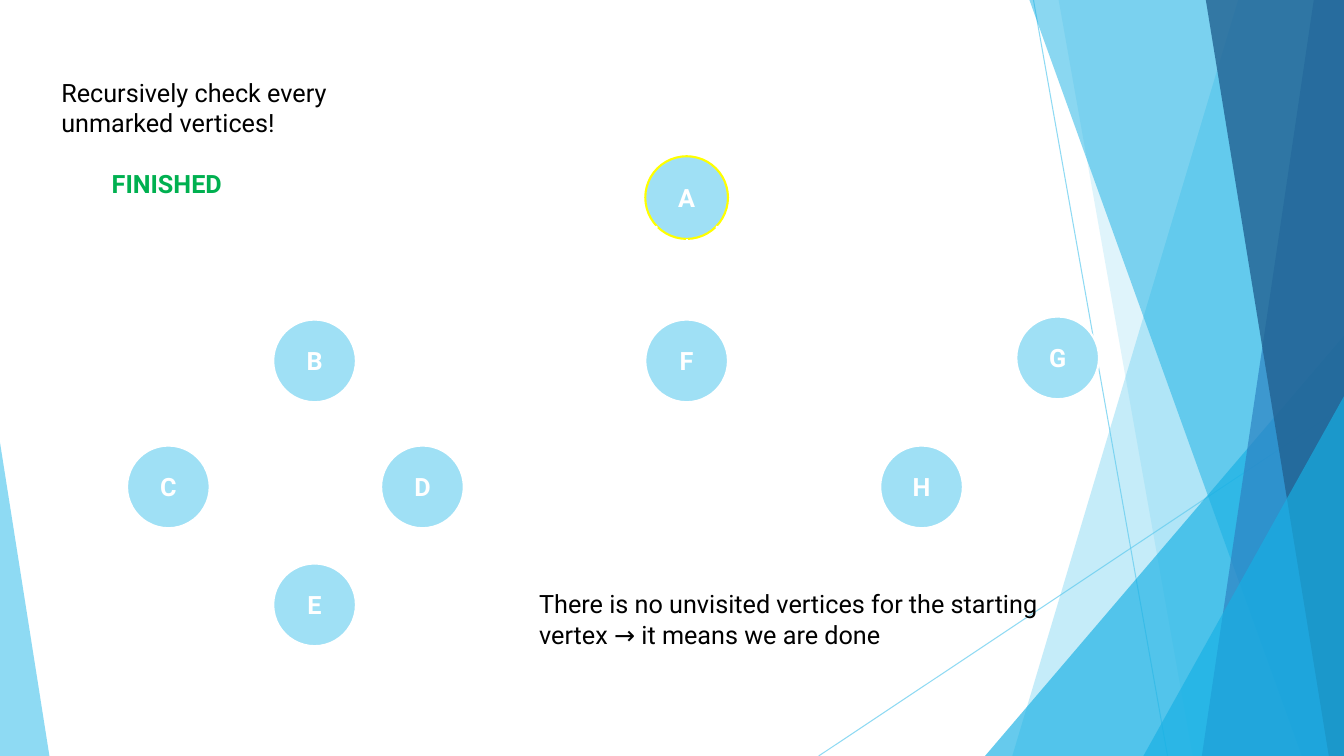
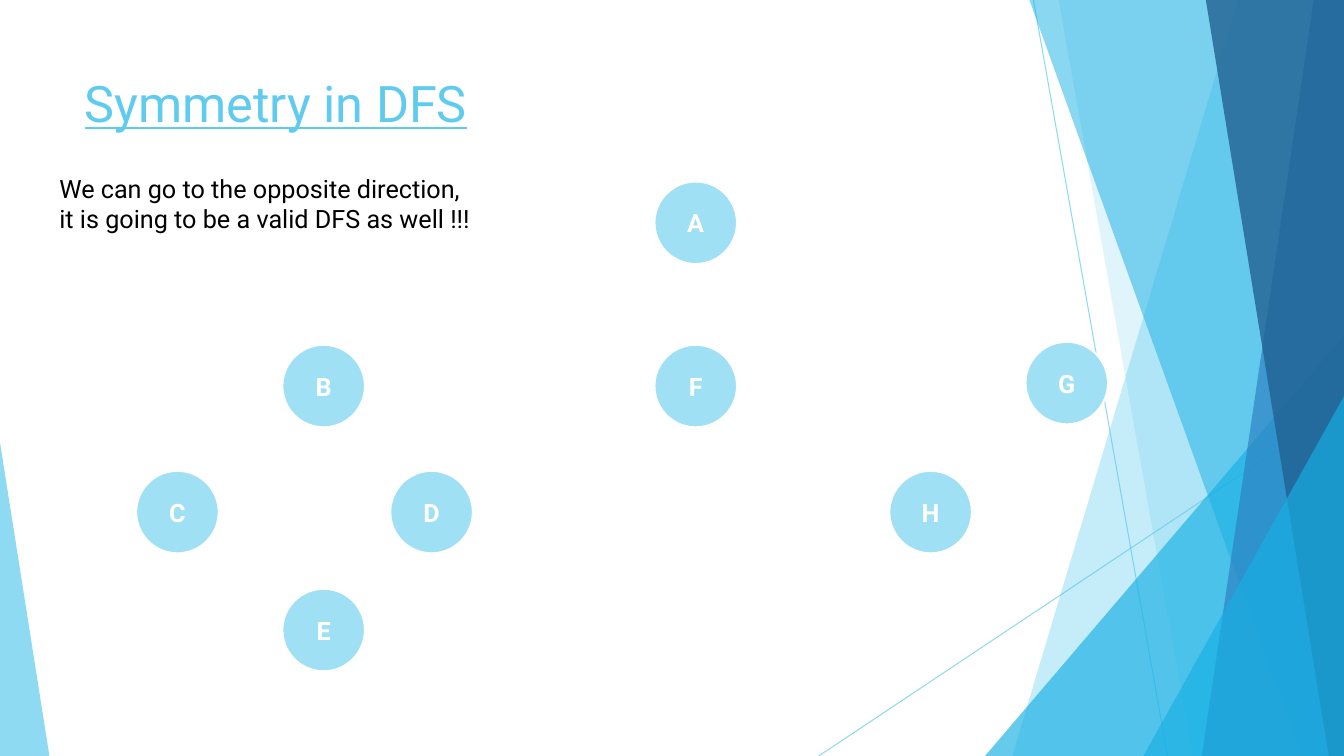
"""Build two slides on depth-first search over one shared backdrop."""
import math

from pptx import Presentation
from pptx import util as u
from pptx.dml import color
from pptx.enum import shapes, text
from pptx.oxml import ns
from lxml import etree

HUES = {
    "sky": "5FCBEF", "cyan": "17B0E4", "blue": "2E83C3", "navy": "226292",
    "node": "9FE0F5", "mark": "FFFF00", "white": "FFFFFF", "black": "000000",
    "green": "00B050",
}
WIDE, HIGH, SIZE = 13.33, 7.5, 0.82
BODY = {"name": "Roboto", "size": u.Pt(18), "hue": "black"}
HEAD = {**BODY, "size": u.Pt(36), "hue": "sky", "underline": True}
LABEL = {**BODY, "hue": "white", "bold": True}
DONE = {**BODY, "hue": "green", "bold": True}

RAYS = [((10.25, 0), (11.58, HIGH)), ((WIDE, 4.03), (8.12, HIGH))]
BANDS = [
    ("band", 12.28, 10.04, "sky", 36),
    ("band", 10.5, 11.83, "sky", 20),
    ("wedge", (9.77, 3.33, WIDE), 1, "cyan", 66),
    ("band", 10.21, 12.91, "cyan", 50),
    ("band", 13.03, 11.92, "blue", 70),
    ("band", 11.96, 13.18, "navy", 80),
    ("wedge", (11.34, 3.93, WIDE), 1, "cyan", 66),
    ("wedge", (0, 4.39, 0.49), 0, "sky", 70),
]
NODES = {
    "A": (6.4, 1.55), "C": (1.26, 4.42), "H": (8.73, 4.42), "D": (3.78, 4.42),
    "E": (2.71, 5.59), "F": (6.4, 3.17), "G": (10.08, 3.14), "B": (2.71, 3.17),
}
LEFT, DOWN, RIGHT = 3, 4, 5
EDGES = [
    ("A", "B", LEFT), ("A", "G", RIGHT), ("A", "F", DOWN), ("B", "C", LEFT),
    ("B", "D", RIGHT), ("D", "E", LEFT), ("G", "H", LEFT),
]


def rgb(hue):
    """Return a named colour."""
    return color.RGBColor.from_string(HUES[hue])


def fade(item, part):
    """Set the opacity, in percent, of the colour in a fill or line."""
    tint = item._element.spPr.find(f".//{ns.qn('a:srgbClr')}")
    etree.SubElement(tint, ns.qn("a:alpha")).set("val", str(part * 1000))


def paint(shape, hue, part=None):
    """Give a shape a plain fill with neither line nor shadow."""
    shape.shadow.inherit = False
    shape.fill.solid()
    shape.fill.fore_color.rgb = rgb(hue)
    shape.line.fill.background()
    if part:
        fade(shape, part)


def stroke(line, hue, width):
    """Set the colour and width of a line."""
    line.color.rgb = rgb(hue)
    line.width = u.Pt(width)


def join(slide, start, end, hue, width):
    """Draw a straight connector between two points."""
    ends = [u.Inches(n) for n in (*start, *end)]
    wire = slide.shapes.add_connector(shapes.MSO_CONNECTOR.STRAIGHT, *ends)
    stroke(wire.line, hue, width)
    etree.SubElement(wire._element.spPr, ns.qn("a:effectLst"))
    return wire


def band(slide, top, base, hue, part):
    """Draw a slanted band that reaches the right edge."""
    spots = [(WIDE, 0), (WIDE, HIGH), (base, HIGH)]
    form = slide.shapes.build_freeform(u.Inches(top), 0)
    form.add_line_segments([(u.Inches(x), u.Inches(y)) for x, y in spots])
    paint(form.convert_to_shape(), hue, part)


def wedge(slide, area, peak, hue, part):
    """Draw a triangle that stands on the bottom edge."""
    left, top, right = area
    box = [u.Inches(n) for n in (left, top, right - left, HIGH - top)]
    shape = slide.shapes.add_shape(shapes.MSO_SHAPE.ISOSCELES_TRIANGLE, *box)
    shape.adjustments[0] = peak
    paint(shape, hue, part)


def backdrop(slide, layout):
    """Draw the shared decoration and move it to the layout."""
    for holder in list(layout.placeholders):
        layout.shapes._spTree.remove(holder._element)
    for start, end in RAYS:
        fade(join(slide, start, end, "sky", 0.75), 70)
    draw = {"band": band, "wedge": wedge}
    for kind, *args in BANDS:
        draw[kind](slide, *args)
    for shape in list(slide.shapes):
        layout.shapes._spTree.append(shape._element)


def write(para, words, style):
    """Add a run in the given style."""
    run = para.add_run()
    run.text = words
    for key, value in style.items():
        if key == "hue":
            run.font.color.rgb = rgb(value)
        else:
            setattr(run.font, key, value)


def note(slide, area, lines, style=BODY):
    """Add a text box with one paragraph per line and return its frame."""
    frame = slide.shapes.add_textbox(*[u.Inches(n) for n in area]).text_frame
    frame.word_wrap = True
    frame.vertical_anchor = text.MSO_ANCHOR.TOP
    for i, words in enumerate(lines):
        para = frame.add_paragraph() if i else frame.paragraphs[0]
        write(para, words, style)
    return frame


def node(slide, name, spot, ring):
    """Draw a labelled vertex."""
    box = [u.Inches(n) for n in (*spot, SIZE, SIZE)]
    shape = slide.shapes.add_shape(shapes.MSO_SHAPE.OVAL, *box)
    paint(shape, "node")
    stroke(shape.line, ring, 1.5)
    frame = shape.text_frame
    frame.vertical_anchor = text.MSO_ANCHOR.MIDDLE
    frame.paragraphs[0].alignment = text.PP_ALIGN.CENTER
    write(frame.paragraphs[0], name, LABEL)
    return shape


def site(spot, side):
    """Return the point at one of the eight sites on a vertex."""
    turn = math.radians(45 * side)
    mid = SIZE / 2
    return (spot[0] + mid - mid * math.sin(turn),
            spot[1] + mid - mid * math.cos(turn))


def graph(slide, shift=(0, 0), mark=None):
    """Draw the tree of vertices and edges."""
    spots = {k: (x + shift[0], y + shift[1]) for k, (x, y) in NODES.items()}
    dots = {k: node(slide, k, spot, "mark" if k == mark else "white")
            for k, spot in spots.items()}
    for head, tail, side in EDGES:
        start, end = site(spots[head], side), site(spots[tail], 0)
        wire = join(slide, start, end, "white", 1.5)
        wire.begin_connect(dots[head], 0)
        wire._element.nvCxnSpPr.cNvCxnSpPr.stCxn.idx = side
        wire.begin_x, wire.begin_y = [u.Inches(n) for n in start]
        wire.end_connect(dots[tail], 0)


def finish(slide):
    """Show the tree once every vertex is visited."""
    graph(slide, mark="A")
    frame = note(slide, (0.51, 0.72, 3.14, 1.31),
                 ["Recursively check every", "unmarked vertices!"])
    para = frame.add_paragraph()
    para.space_before = u.Pt(21.5)
    para._p.get_or_add_pPr().set("marL", str(u.Inches(0.5)))
    write(para, "FINISHED", DONE)
    note(slide, (5.25, 5.79, 5.46, 0.71),
         ["There is no unvisited vertices for the starting",
          "vertex → it means we are done"])


def mirror(slide):
    """Show that the opposite direction is valid too."""
    note(slide, (0.74, 0.67, 9.4, 1.44), ["Symmetry in DFS"], HEAD)
    graph(slide, shift=(0.09, 0.25))
    note(slide, (0.49, 1.67, 4.74, 0.71),
         ["We can go to the opposite direction,",
          "it is going to be a valid DFS as well !!!"])


def main():
    """Build and save the deck."""
    deck = Presentation()
    deck.slide_width, deck.slide_height = u.Inches(WIDE), u.Inches(HIGH)
    layout = deck.slide_layouts[6]
    first, second = [deck.slides.add_slide(layout) for _ in range(2)]
    backdrop(first, layout)
    finish(first)
    mirror(second)
    deck.save("out.pptx")


main()
